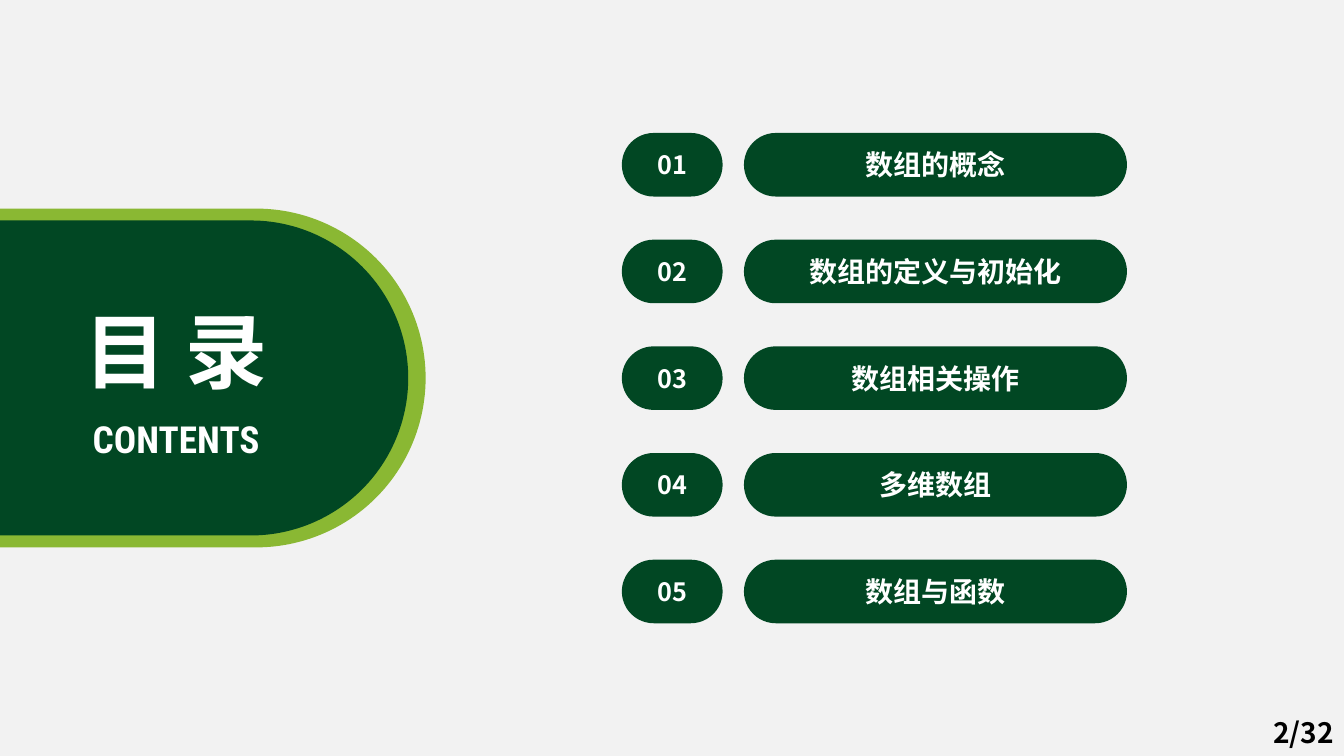
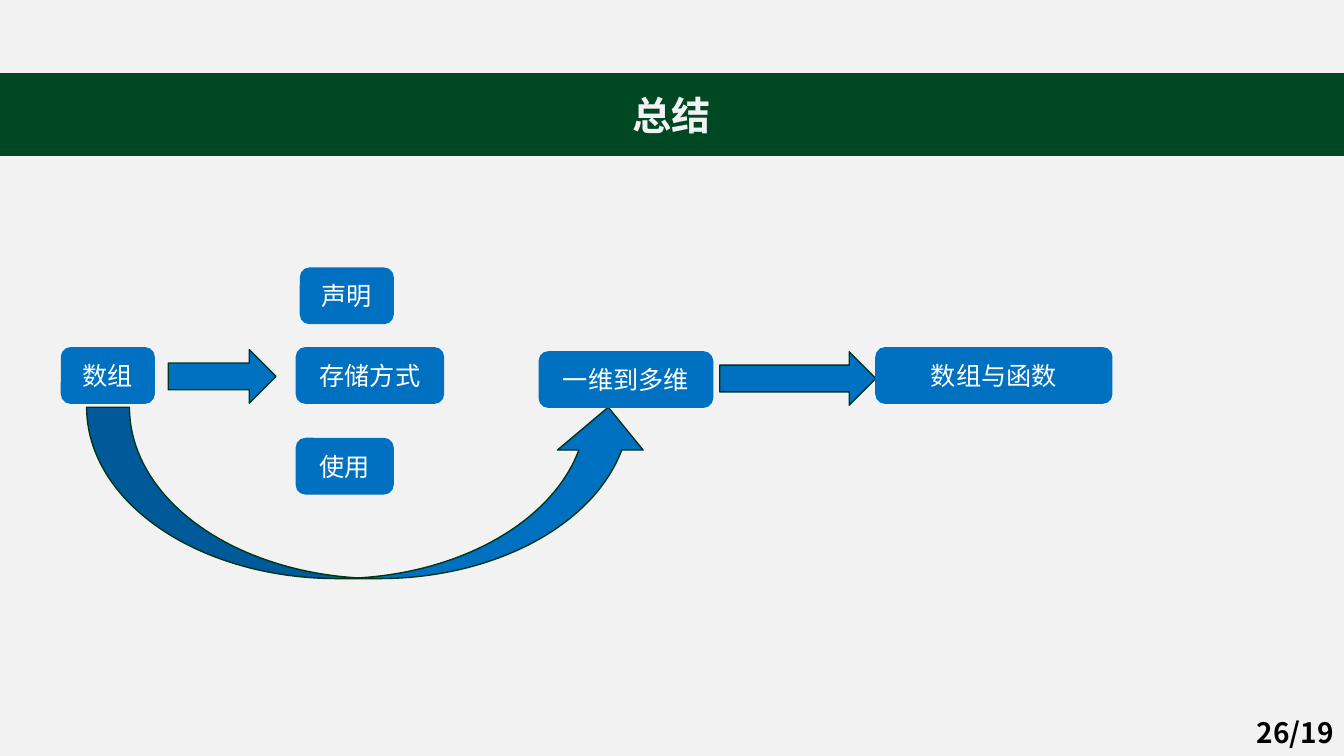
from dataclasses import dataclass

import lxml.etree
import pptx
import pptx.dml.color
import pptx.enum.shapes
import pptx.enum.text
import pptx.oxml.ns
import pptx.util

Pt = pptx.util.Pt
SHAPES = pptx.enum.shapes.MSO_SHAPE
ALIGN = pptx.enum.text.PP_ALIGN
ANCHOR = pptx.enum.text.MSO_ANCHOR
AUTO_SIZE = pptx.enum.text.MSO_AUTO_SIZE


@dataclass(frozen=True)
class Theme:
    background: str = "F2F2F2"
    green: str = "014723"
    band_green: str = "004723"
    lime: str = "8AB833"
    blue: str = "0070C0"
    arrow_outline: str = "00351A"
    white: str = "FFFFFF"
    black: str = "000000"
    font: str = "Noto Sans CJK SC"
    latin_font: str = "Roboto Condensed"
    contents_title_size: float = 58.6
    contents_subtitle_size: float = 26.6
    title_size: float = 28
    label_size: float = 20
    body_size: float = 18
    line_width: float = 1


THEME = Theme()
SLIDE_WIDTH, SLIDE_HEIGHT = 960, 540

CHAPTERS = ["数组的概念", "数组的定义与初始化", "数组相关操作", "多维数组", "数组与函数"]
CHAPTER_TOP, CHAPTER_PITCH, CHAPTER_HEIGHT = 95, 76.2, 45.4
NUMBER_LEFT, NUMBER_WIDTH = 444.2, 72
CHAPTER_LEFT, CHAPTER_WIDTH = 531.4, 273.6

BOX_HEIGHT = 39.6
TOPIC_BOXES = [  # text, left, top, width
    ("数组", 43.9, 248.4, 66.2),
    ("声明", 214.6, 191.5, 66.2),
    ("存储方式", 211.7, 248.4, 105.1),
    ("使用", 211.7, 313.2, 69.1),
    ("一维到多维", 385.2, 251.3, 123.8),
    ("数组与函数", 625.7, 248.4, 168.5),
]
ARROWS = [  # kind, left, top, width, height
    (SHAPES.RIGHT_ARROW, 120.2, 249.8, 77, 38.2),
    (SHAPES.CURVED_UP_ARROW, 61.9, 290.9, 403.2, 122.4),
    (SHAPES.RIGHT_ARROW, 514.1, 251.3, 111.6, 38.2),
]


def rgb(color):
    return pptx.dml.color.RGBColor.from_string(color)


def write_text(shape, text, size, color=THEME.white, bold=True,
               font=THEME.font, align=ALIGN.CENTER, anchor=ANCHOR.MIDDLE, wrap=True):
    frame = shape.text_frame
    frame.text = text
    frame.word_wrap = wrap
    frame.auto_size = AUTO_SIZE.NONE
    frame.vertical_anchor = anchor
    paragraph = frame.paragraphs[0]
    paragraph.alignment = align
    for run in paragraph.runs:
        run.font.name = font
        run.font.size = Pt(size)
        run.font.bold = bold
        run.font.color.rgb = rgb(color)
        properties = run.font._element
        east_asian = lxml.etree.SubElement(properties, pptx.oxml.ns.qn("a:ea"))
        east_asian.set("typeface", font)


def paint(shape, fill, outline=None):
    shape.fill.solid()
    shape.fill.fore_color.rgb = rgb(fill)
    if outline:
        shape.line.color.rgb = rgb(outline)
        shape.line.width = Pt(THEME.line_width)
    else:
        shape.line.fill.background()


def place(shape, left, top, width, height):
    shape.left, shape.top = Pt(left), Pt(top)
    shape.width, shape.height = Pt(width), Pt(height)


def add_shape(slide, kind, left, top, width, height, fill, outline=None):
    shape = slide.shapes.add_shape(kind, Pt(left), Pt(top), Pt(width), Pt(height))
    shape.shadow.inherit = False
    paint(shape, fill, outline)
    return shape


def add_pill(slide, left, top, width, height, fill):
    pill = add_shape(slide, SHAPES.ROUNDED_RECTANGLE, left, top, width, height, fill)
    pill.adjustments[0] = 0.5
    return pill


def add_text(slide, text, left, top, width, height, size, **style):
    box = slide.shapes.add_textbox(Pt(left), Pt(top), Pt(width), Pt(height))
    write_text(box, text, size, **style)


def add_slide(presentation, page_number):
    slide = presentation.slides.add_slide(presentation.slide_layouts[5])
    add_text(slide, page_number, 743.8, 509, 216, 28.8, THEME.label_size,
             color=THEME.black, align=ALIGN.RIGHT)
    return slide


def build_contents(presentation):
    slide = add_slide(presentation, "2/32")
    add_pill(slide, -141, 149, 445, 242, THEME.lime)
    add_pill(slide, -122.4, 157.5, 414, 225, THEME.green)
    for index, chapter in enumerate(CHAPTERS):
        top = CHAPTER_TOP + index * CHAPTER_PITCH
        number_pill = add_pill(slide, NUMBER_LEFT, top, NUMBER_WIDTH,
                               CHAPTER_HEIGHT, THEME.green)
        write_text(number_pill, f"{index + 1:02d}", THEME.body_size)
        chapter_pill = add_pill(slide, CHAPTER_LEFT, top, CHAPTER_WIDTH,
                                CHAPTER_HEIGHT, THEME.green)
        write_text(chapter_pill, chapter, THEME.label_size)
    add_text(slide, "CONTENTS", 44.6, 293.8, 162.7, 39.6, THEME.contents_subtitle_size,
             font=THEME.latin_font, anchor=ANCHOR.TOP, wrap=False)
    title = slide.shapes.title
    place(title, 50.4, 211, 150.5, 78.5)
    write_text(title, "目 录", THEME.contents_title_size, anchor=ANCHOR.TOP, wrap=False)
    # The title must lie in front of the pills.
    title.element.getparent().append(title.element)


def build_summary(presentation):
    slide = add_slide(presentation, "26/19")
    title = slide.shapes.title
    place(title, 0, 52.9, SLIDE_WIDTH, 58.3)
    paint(title, THEME.band_green, THEME.band_green)
    write_text(title, "总结", THEME.title_size, color=THEME.background)
    for kind, left, top, width, height in ARROWS:
        add_shape(slide, kind, left, top, width, height, THEME.blue, THEME.arrow_outline)
    for text, left, top, width in TOPIC_BOXES:
        box = add_shape(slide, SHAPES.ROUNDED_RECTANGLE, left, top, width, BOX_HEIGHT,
                        THEME.blue, THEME.blue)
        write_text(box, text, THEME.body_size, bold=False)


def main():
    presentation = pptx.Presentation()
    presentation.slide_width = Pt(SLIDE_WIDTH)
    presentation.slide_height = Pt(SLIDE_HEIGHT)
    background = presentation.slide_master.background.fill
    background.solid()
    background.fore_color.rgb = rgb(THEME.background)
    build_contents(presentation)
    build_summary(presentation)
    presentation.save("out.pptx")


if __name__ == "__main__":
    main()
